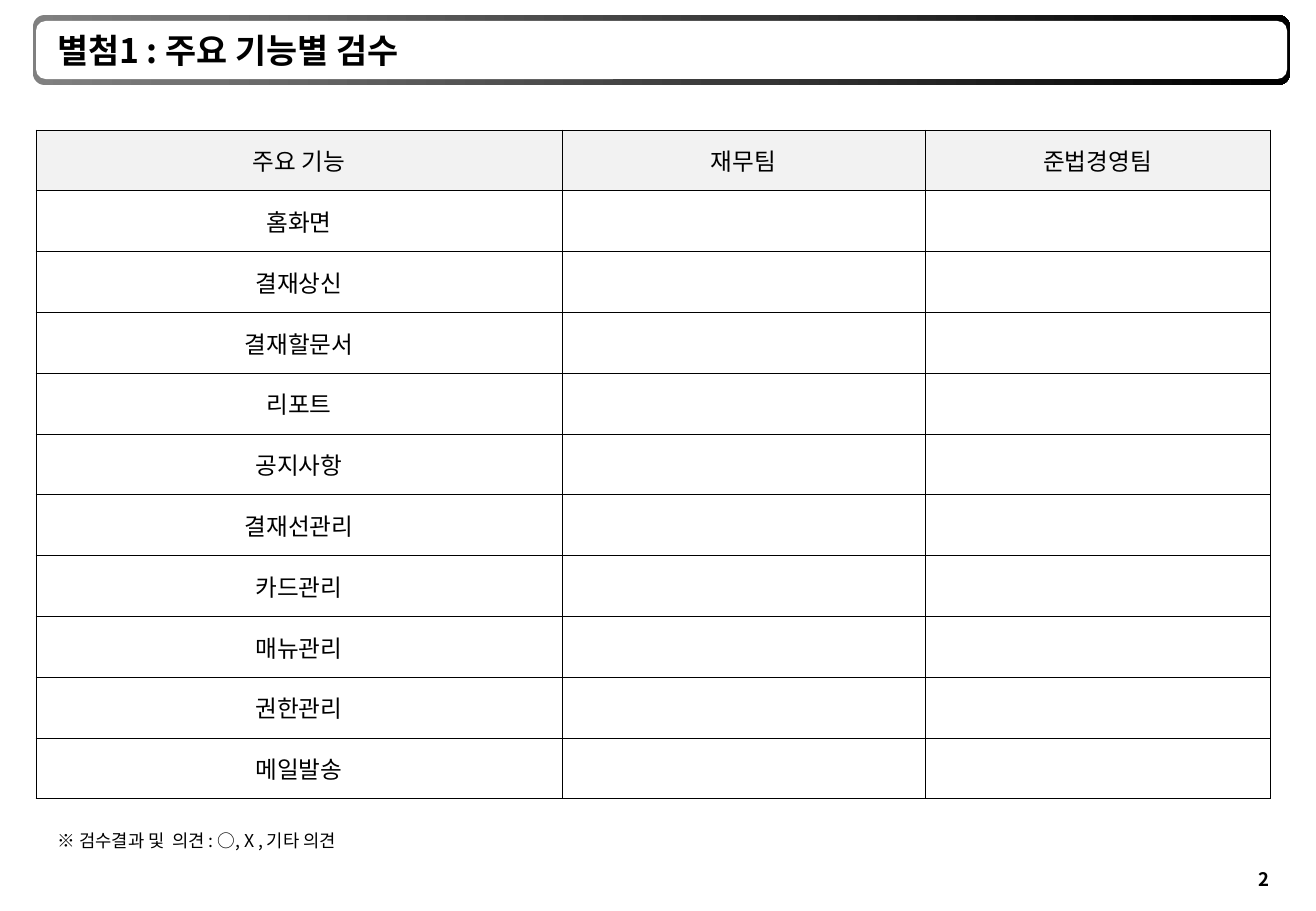
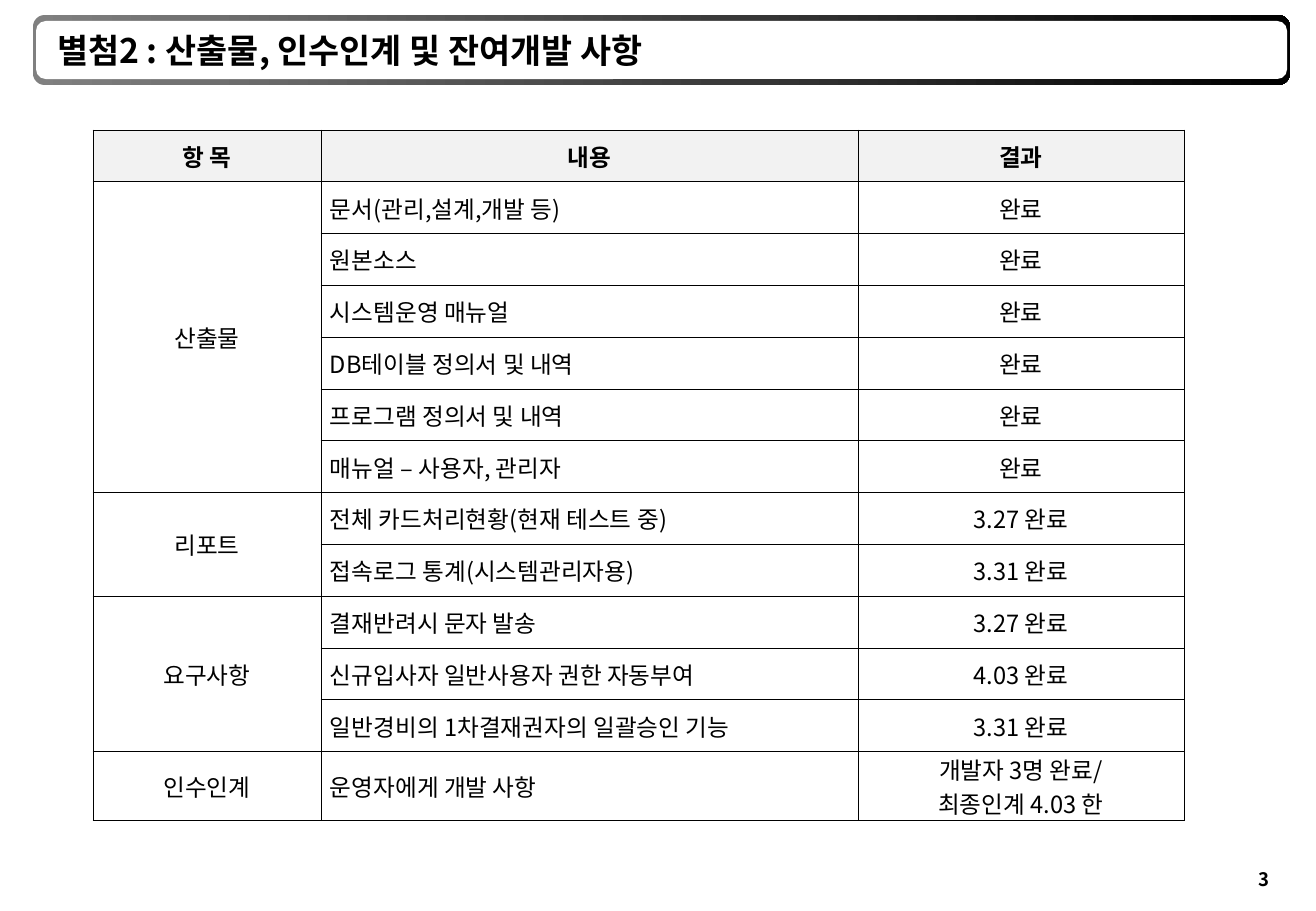
from lxml.etree import SubElement
from pptx import Presentation
from pptx.dml.color import RGBColor
from pptx.enum.shapes import MSO_SHAPE as Shape
from pptx.enum.text import MSO_ANCHOR as Anchor, MSO_AUTO_SIZE as Fit, PP_ALIGN as Align
from pptx.oxml.ns import qn
from pptx.util import Emu, Pt

FONT = "Noto Sans CJK KR"
BLACK = RGBColor(0, 0, 0)
GRAY = RGBColor(0x80, 0x80, 0x80)
PALE = RGBColor(0xF2, 0xF2, 0xF2)
WHITE = RGBColor(0xFF, 0xFF, 0xFF)

PAGE = (1316, 911)
OUTER = (33, 15, 1257, 70)
INNER = (36, 21, 1251, 58)
TITLE = (45, 14, 865, 72)
FOLIO = (1238, 856, 52, 47)
NOTE = (46, 824, 348, 34)

TEAMS = ["주요 기능", "재무팀", "준법경영팀"]
TASKS = ["홈화면", "결재상신", "결재할문서", "리포트", "공지사항", "결재선관리",
         "카드관리", "매뉴관리", "권한관리", "메일발송"]
HEADS = ["항 목", "내용", "결과"]
GROUPS = [
    ("산출물", [
        ("문서(관리,설계,개발 등)", "완료"),
        ("원본소스", "완료"),
        ("시스템운영 매뉴얼", "완료"),
        ("DB테이블 정의서 및 내역", "완료"),
        ("프로그램 정의서 및 내역", "완료"),
        ("매뉴얼 – 사용자, 관리자", "완료")]),
    ("리포트", [
        ("전체 카드처리현황(현재 테스트 중)", "3.27 완료"),
        ("접속로그 통계(시스템관리자용)", "3.31 완료")]),
    ("요구사항", [
        ("결재반려시 문자 발송", "3.27 완료"),
        ("신규입사자 일반사용자 권한 자동부여", "4.03 완료"),
        ("일반경비의 1차결재권자의 일괄승인 기능", "3.31 완료")]),
    ("인수인계", [
        ("운영자에게 개발 사항", "개발자 3명 완료/\n최종인계 4.03 한")]),
]


def px(num):
    """Turn pixels into EMU."""
    return Emu(round(num * 914400 / 121.5))


def place(box):
    """Turn a pixel box into EMU lengths."""
    return [px(num) for num in box]


def style(frame, size, bold=False, align=Align.LEFT):
    """Format every paragraph of a text frame."""
    for para in frame.paragraphs:
        para.alignment = align
        font = para.font
        font.name, font.size, font.bold = FONT, Pt(size), bold
        font.color.rgb = BLACK
        props = para._p.get_or_add_pPr().find(qn("a:defRPr"))
        SubElement(props, qn("a:ea"), typeface=FONT)


def inset(frame, side=0):
    """Set the side margins and drop the upper and lower ones."""
    frame.margin_left = frame.margin_right = px(side)
    frame.margin_top = frame.margin_bottom = 0


def add_band(slide, box):
    """Add a rounded band without line or shadow and return it."""
    band = slide.shapes.add_shape(Shape.ROUNDED_RECTANGLE, *place(box))
    band.shadow.inherit = False
    band.line.fill.background()
    return band


def add_frame(slide, layout):
    """Build the title frame and hand it to the layout all slides share."""
    outer = add_band(slide, OUTER)
    outer.fill.gradient()
    outer.fill.gradient_angle = 0
    for stop, color in zip(outer.fill.gradient_stops, (GRAY, BLACK)):
        stop.color.rgb = color
    inner = add_band(slide, INNER)
    inner.fill.solid()
    inner.fill.fore_color.rgb = WHITE
    for band in (outer, inner):
        layout.shapes._spTree.append(band._element)


def add_text(slide, box, text):
    """Add a text box and return its frame."""
    frame = slide.shapes.add_textbox(*place(box)).text_frame
    frame.text = text
    return frame


def add_page(deck, layout, title, folio):
    """Add a slide with its title and page number."""
    slide = deck.slides.add_slide(layout)
    head = slide.shapes.title
    head.left, head.top, head.width, head.height = place(TITLE)
    frame = head.text_frame
    frame.text = title
    frame.auto_size = Fit.NONE
    frame.vertical_anchor = Anchor.MIDDLE
    style(frame, 20, True)
    add_folio(slide, FOLIO, folio)
    return slide


def add_folio(slide, box, folio):
    """Add the page number in its box."""
    frame = add_text(slide, box, str(folio))
    frame.word_wrap = True
    frame.vertical_anchor = Anchor.MIDDLE
    inset(frame)
    style(frame, 11, True, Align.CENTER)


def add_note(slide, box, text):
    """Add a small remark that grows with its text."""
    frame = add_text(slide, box, text)
    frame.word_wrap = False
    frame.auto_size = Fit.SHAPE_TO_FIT_TEXT
    style(frame, 10.5)


def add_edges(cell):
    """Draw thin black borders round a cell."""
    props = cell._tc.get_or_add_tcPr()
    for tag in ("a:lnL", "a:lnR", "a:lnT", "a:lnB"):
        line = SubElement(props, qn(tag), w=str(Pt(0.5)))
        fill = SubElement(line, qn("a:solidFill"))
        SubElement(fill, qn("a:srgbClr"), val=str(BLACK))


def add_grid(slide, spot, cols, tall, rows, bold=False, left=None):
    """Add a table at a spot from column widths, row heights and rows of text.

    The head row is pale; the column numbered left is left aligned.
    """
    box = (*spot, sum(cols), sum(tall))
    grid = slide.shapes.add_table(len(rows), len(cols), *place(box)).table
    grid.first_row = grid.horz_banding = False
    for col, width in zip(grid.columns, cols):
        col.width = px(width)
    for i, row in enumerate(rows):
        grid.rows[i].height = px(tall[i])
        for j, text in enumerate(row):
            cell = grid.cell(i, j)
            cell.text = text
            cell.vertical_anchor = Anchor.MIDDLE
            add_edges(cell)
            if i == 0:
                cell.fill.solid()
                cell.fill.fore_color.rgb = PALE
            else:
                cell.fill.background()
            flush = i > 0 and j == left
            inset(cell, 9 if flush else 0)
            style(cell.text_frame, 14, bold and i == 0,
                  Align.LEFT if flush else Align.CENTER)
    return grid


def add_checks(slide):
    """Fill the first slide: the check list for each team."""
    rows = [TEAMS] + [[task, "", ""] for task in TASKS]
    tall = [669 / len(rows)] * len(rows)
    add_grid(slide, (36, 130), (526, 363, 345), tall, rows)
    add_note(slide, NOTE, "※ 검수결과 및  의견 : ○, X , 기타 의견")


def add_status(slide):
    """Fill the second slide: deliverables in merged groups."""
    rows = [HEADS]
    spans = []
    for name, items in GROUPS:
        spans.append((len(rows), len(rows) + len(items) - 1))
        for k, item in enumerate(items):
            rows.append(["" if k else name, *item])
    plain = len(rows) - 1
    tall = [622 / plain] * plain + [69]
    grid = add_grid(slide, (93, 130), (228, 537, 326), tall, rows, True, 1)
    for first, last in spans:
        if last > first:
            grid.cell(first, 0).merge(grid.cell(last, 0))


def main():
    """Build and save the deck."""
    deck = Presentation()
    deck.slide_width, deck.slide_height = place(PAGE)
    layout = deck.slide_layouts[5]
    checks = add_page(deck, layout, "별첨1 : 주요 기능별 검수", 2)
    add_frame(checks, layout)
    add_checks(checks)
    status = add_page(deck, layout, "별첨2 : 산출물, 인수인계 및 잔여개발 사항", 3)
    add_status(status)
    deck.save("out.pptx")


main()
